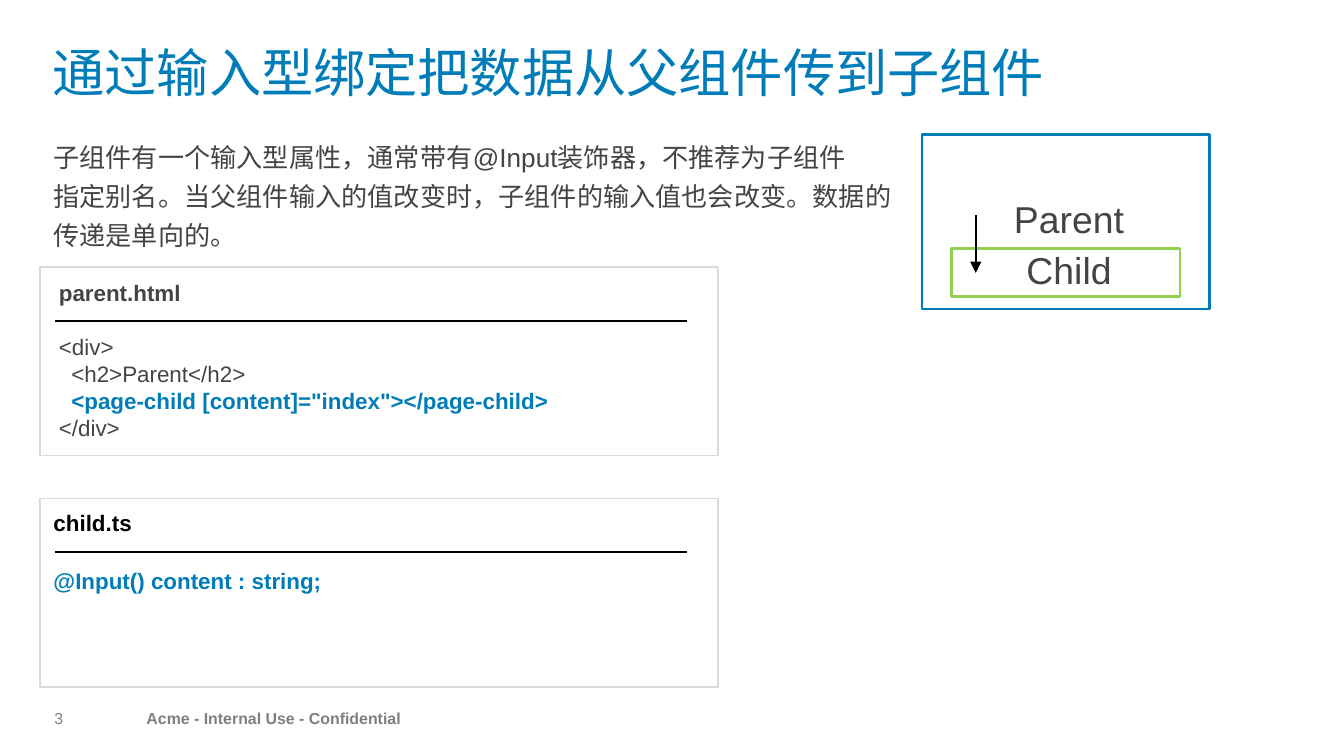
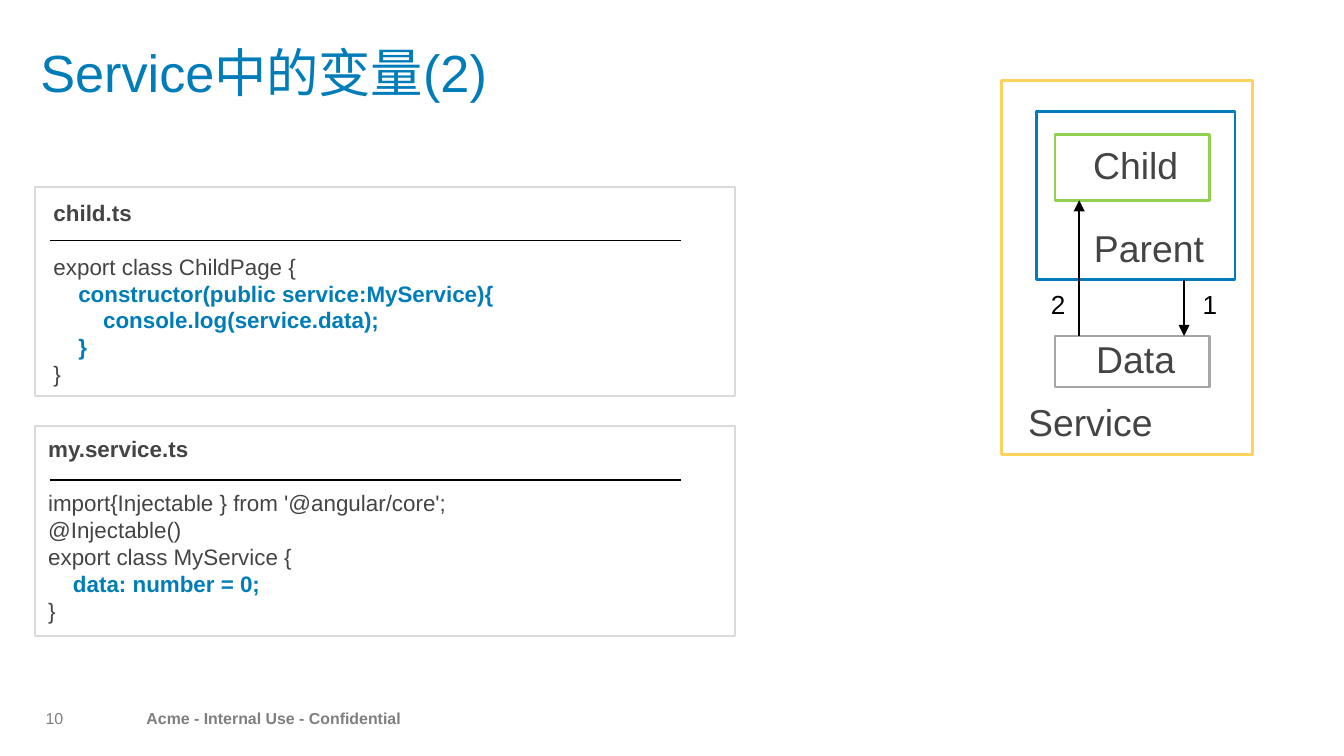
from dataclasses import dataclass, field

from lxml import etree
from pptx import Presentation
from pptx import util as u
from pptx.dml.color import RGBColor
from pptx.enum import shapes, text
from pptx.oxml import ns

ALIGN = text.PP_ALIGN
ANCHOR = text.MSO_ANCHOR


# Colours, font and type sizes
@dataclass(frozen=True)
class Theme:
    font: str = "Arial"
    blue: str = "007DB8"
    green: str = "92D050"
    yellow: str = "FFD25E"
    grey: str = "A6A6A6"
    frame: str = "DADADA"
    ink: str = "444444"
    black: str = "000000"
    footer: str = "7F7F7F"
    number: str = "808080"
    title_pt: float = 28
    label_pt: float = 20
    body_pt: float = 14
    code_pt: float = 12
    footer_pt: float = 8.5


T = Theme()
FOOTER = "Acme - Internal Use - Confidential"
RULE_INSET, RULE_DROP, RULE_WIDTH = 0.11, 0.4, 4.7
Box = tuple[float, float, float, float]
Point = tuple[float, float]


@dataclass(frozen=True)
class Line:
    """One paragraph of text and its look."""
    text: str
    size: float
    color: str = T.ink
    bold: bool = False
    format: dict = field(default_factory=dict)


@dataclass(frozen=True)
class Panel:
    """A framed code listing: file name, rule, code; key lines stand out."""
    frame: Box
    text_box: Box
    name: str
    code: tuple[str, ...]
    key: tuple[int, ...]
    name_color: str = T.ink
    gap: float = 14.5


@dataclass(frozen=True)
class Block:
    """A labelled rectangle of the component diagram."""
    box: Box
    label: str
    color: str
    align: ALIGN = ALIGN.CENTER
    anchor: ANCHOR = ANCHOR.MIDDLE
    right: float = 0.15
    bottom: float = 0.15


@dataclass(frozen=True)
class Arrow:
    start: Point
    end: Point


def set_all(obj, values: dict) -> None:
    for name, value in values.items():
        setattr(obj, name, value)


def inches(values) -> list:
    return [u.Inches(v) for v in values]


def write(tf, lines: list[Line], margins: Box = (0.1, 0.05, 0.1, 0.05),
          anchor: ANCHOR = ANCHOR.TOP) -> None:
    """Fill a text frame, one paragraph per line."""
    left, top, right, bottom = inches(margins)
    set_all(tf, dict(word_wrap=True, auto_size=text.MSO_AUTO_SIZE.NONE,
                     vertical_anchor=anchor, margin_left=left, margin_top=top,
                     margin_right=right, margin_bottom=bottom))
    for i, line in enumerate(lines):
        p = tf.add_paragraph() if i else tf.paragraphs[0]
        set_all(p, line.format)
        r = p.add_run()
        r.text = line.text
        set_all(r.font, dict(name=T.font, size=u.Pt(line.size), bold=line.bold))
        r.font.color.rgb = RGBColor.from_string(line.color)


def add_text(slide, box: Box, lines: list[Line], **layout) -> None:
    write(slide.shapes.add_textbox(*inches(box)).text_frame, lines, **layout)


def add_rect(slide, box: Box, color: str, width: float):
    sp = slide.shapes.add_shape(shapes.MSO_SHAPE.RECTANGLE, *inches(box))
    sp.shadow.inherit = False
    sp.fill.background()
    sp.line.color.rgb = RGBColor.from_string(color)
    sp.line.width = u.Pt(width)
    return sp


def add_line(slide, start: Point, end: Point, arrow: bool = False) -> None:
    c = slide.shapes.add_connector(shapes.MSO_CONNECTOR.STRAIGHT,
                                   *inches(start + end))
    c.line.color.rgb = RGBColor.from_string(T.black)
    c.line.width = u.Pt(1)
    if arrow:
        etree.SubElement(c.line._get_or_add_ln(), ns.qn("a:tailEnd"),
                         type="triangle")
    etree.SubElement(c._element.spPr, ns.qn("a:effectLst"))


def add_block(slide, block: Block) -> None:
    sp = add_rect(slide, block.box, block.color, 1.5)
    label = Line(block.label, T.label_pt,
                 format=dict(alignment=block.align, line_spacing=0.9))
    write(sp.text_frame, [label], anchor=block.anchor,
          margins=(0.2, 0.15, block.right, block.bottom))


def add_panel(slide, panel: Panel) -> None:
    add_rect(slide, panel.frame, T.frame, 1)
    x, y = panel.frame[0] + RULE_INSET, panel.frame[1] + RULE_DROP
    add_line(slide, (x, y), (x + RULE_WIDTH, y))
    lines = [Line(panel.name, T.code_pt, panel.name_color, True)]
    for i, code in enumerate(panel.code):
        key = i in panel.key
        fmt = dict(space_before=u.Pt(0 if i else panel.gap))
        lines.append(Line(code, T.code_pt, T.blue if key else T.ink, key, fmt))
    add_text(slide, panel.text_box, lines)


def add_slide(prs, title: str, number: int, indent: float = 0):
    """Start a slide with the shared title style and footer."""
    slide = prs.slides.add_slide(prs.slide_layouts[5])
    sp = slide.shapes.title
    left, top, width, height = inches((0.3, 0.3, 8.7, 0.7))
    set_all(sp, dict(left=left, top=top, width=width, height=height))
    fmt = dict(alignment=ALIGN.LEFT, line_spacing=0.9)
    write(sp.text_frame, [Line(title, T.title_pt, T.blue, format=fmt)],
          margins=(indent, 0.05, 0, 0.05))

    flat = dict(margins=(0, 0, 0, 0), anchor=ANCHOR.MIDDLE)
    add_text(slide, (1.09, 5.29, 2, 0.13),
             [Line(FOOTER, T.footer_pt, T.footer, True, dict(line_spacing=0.9))],
             **flat)
    add_text(slide, (0.32, 5.29, 0.15, 0.13),
             [Line(str(number), T.footer_pt, T.number,
                   format=dict(alignment=ALIGN.RIGHT, line_spacing=0.9))], **flat)
    return slide


# Slide 1: input binding
INTRO = (
    "子组件有一个输入型属性，通常带有@Input装饰器，不推荐为子组件",
    "指定别名。当父组件输入的值改变时，子组件的输入值也会改变。数据的",
    "传递是单向的。",
)
INPUT_PANELS = (
    Panel((0.3, 1.99, 5.04, 1.4), (0.34, 2.03, 5, 1.31), "parent.html",
          ("<div>",
           "  <h2>Parent</h2>",
           '  <page-child [content]="index"></page-child>',
           "</div>"), key=(2,)),
    Panel((0.3, 3.71, 5.04, 1.4), (0.3, 3.74, 5, 1.25), "child.ts",
          ("@Input() content : string;",), key=(0,),
          name_color=T.black, gap=16.5),
)
INPUT_BLOCKS = (
    Block((6.86, 1, 2.14, 1.3), "Parent", T.blue),
    Block((7.08, 1.85, 1.7, 0.36), "Child", T.green),
)
INPUT_ARROWS = (Arrow((7.26, 1.6), (7.26, 2.03)),)

# Slide 2: variables in a service
SERVICE_PANELS = (
    Panel((0.26, 1.39, 5.21, 1.56), (0.3, 1.43, 5.17, 1.51), "child.ts",
          ("export class ChildPage {",
           "    constructor(public service:MyService){",
           "        console.log(service.data);",
           "    }",
           "}"), key=(1, 2, 3)),
    Panel((0.26, 3.17, 5.21, 1.56), (0.26, 3.19, 5.21, 1.51), "my.service.ts",
          ("import{Injectable } from '@angular/core';",
           "@Injectable()",
           "export class MyService {",
           "    data: number = 0;",
           "}"), key=(3,)),
)
SERVICE_BLOCKS = (
    Block((7.45, 0.6, 1.87, 2.78), "Service", T.yellow,
          ALIGN.LEFT, ANCHOR.BOTTOM, bottom=0.07),
    Block((7.71, 0.83, 1.48, 1.25), "Parent", T.blue,
          ALIGN.RIGHT, ANCHOR.BOTTOM, right=0.23, bottom=0.07),
    Block((7.85, 1, 1.15, 0.49), "Child", T.green),
    Block((7.85, 2.5, 1.15, 0.38), "Data", T.grey),
)
SERVICE_ARROWS = (
    Arrow((8.81, 2.08), (8.81, 2.5)),
    Arrow((8.03, 2.5), (8.03, 1.49)),
)
STEPS = {"1": 8.85, "2": 7.72}


def draw(slide, panels, blocks, arrows) -> None:
    for panel in panels:
        add_panel(slide, panel)
    for block in blocks:
        add_block(slide, block)
    for arrow in arrows:
        add_line(slide, arrow.start, arrow.end, arrow=True)


def main() -> None:
    prs = Presentation()
    prs.slide_width = u.Inches(10)
    prs.slide_height = u.Inches(10 * 9 / 16)

    slide = add_slide(prs, "通过输入型绑定把数据从父组件传到子组件", 3, indent=0.09)
    draw(slide, INPUT_PANELS, INPUT_BLOCKS, INPUT_ARROWS)
    add_text(slide, (0.3, 1, 6.5, 0.95),
             [Line(s, T.body_pt, format=dict(space_before=u.Pt(4.2 if i else 0)))
              for i, s in enumerate(INTRO)])

    slide = add_slide(prs, "Service中的变量(2)", 10)
    draw(slide, SERVICE_PANELS, SERVICE_BLOCKS, SERVICE_ARROWS)
    for step, x in STEPS.items():
        add_text(slide, (x, 2.1, 0.31, 0.34), [Line(step, T.body_pt, T.black)])

    prs.save("out.pptx")


if __name__ == "__main__":
    main()
